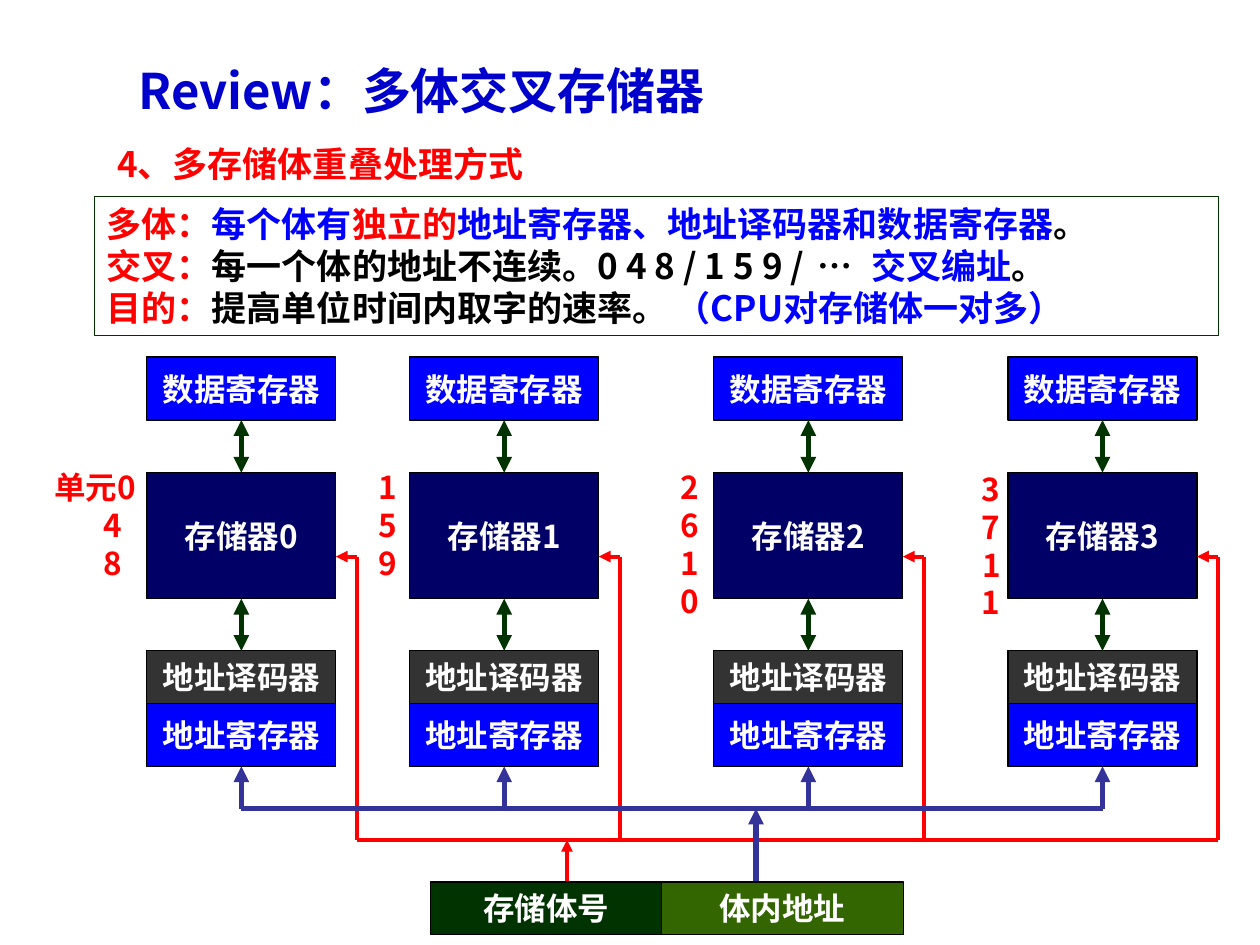
from lxml.etree import SubElement
from pptx import Presentation
from pptx.dml.color import RGBColor
from pptx.enum.shapes import MSO_CONNECTOR, MSO_SHAPE
from pptx.enum.text import MSO_ANCHOR, PP_ALIGN
from pptx.oxml.ns import qn
from pptx.util import Cm, Pt

FONT = "Noto Sans CJK SC"
RED = RGBColor(0xFF, 0x00, 0x00)
BLUE = RGBColor(0x00, 0x00, 0xFF)
TITLE_BLUE = RGBColor(0x00, 0x00, 0xCC)
NAVY = RGBColor(0x00, 0x00, 0x66)
BUS_BLUE = RGBColor(0x33, 0x33, 0x99)
GREY = RGBColor(0x33, 0x33, 0x33)
DARK_GREEN = RGBColor(0x00, 0x33, 0x00)
OLIVE = RGBColor(0x33, 0x66, 0x00)
BLACK = RGBColor(0x00, 0x00, 0x00)
WHITE = RGBColor(0xFF, 0xFF, 0xFF)

# Content: each line is a list of (text, colour[, letter spacing in points])
TITLE = "Review：多体交叉存储器"
HEADING = "4、多存储体重叠处理方式"
SUMMARY = [
    [("多体：", RED), ("每个体有", BLUE), ("独立的", RED),
     ("地址寄存器、地址译码器和数据寄存器", BLUE), ("。", BLACK)],
    [("交叉：", RED), ("每一个体的地址不连续。0 4 8 / 1 5 9 /", BLACK),
     (" … ", BLACK, 3), ("交叉编址", BLUE), ("。", BLACK)],
    [("目的：", RED), ("提高单位时间内取字的速率。 ", BLACK),
     ("（CPU对存储体一对多）", BLUE)],
]
# Bank left edge, then its unit numbers with the left, top and width of their box
BANKS = [
    (2.96, ["单元0", "4", "8"], 0.84, 9.32, 2.97),
    (8.26, ["1", "5", "9"], 7.39, 9.32, 0.86),
    (14.39, ["2", "6", "10"], 13.13, 9.32, 1.22),
    (20.32, ["3", "7", "11"], 19.2, 9.35, 1.22),
]
# Parts of one bank: label, top, height, fill
BANK_PARTS = [
    ("数据寄存器", 7.2, 1.27, BLUE),
    ("存储器{}", 9.53, 2.54, NAVY),
    ("地址译码器", 13.12, 1.06, GREY),
    ("地址寄存器", 14.18, 1.27, BLUE),
]
LINKS = [(8.47, 9.53), (12.07, 13.12)]
ADDRESS_FIELDS = [("存储体号", 8.68, 4.66, DARK_GREEN), ("体内地址", 13.34, 4.87, OLIVE)]

BANK_WIDTH = 3.81
BANK_BOTTOM = 15.45
SELECT_GAP = 0.42
SELECT_Y, SELECT_BUS_Y = 11.22, 16.93
ADDRESS_BUS_Y = 16.3
FIELD_TOP, FIELD_HEIGHT = 17.78, 1.06
SELECT_X, ADDRESS_X = 11.43, 15.24

deck = Presentation()
deck.slide_width, deck.slide_height = Cm(25.4), Cm(19.05)
page = deck.slides.add_slide(deck.slide_layouts[5])


def write(box, lines, size, align=PP_ALIGN.LEFT, anchor=MSO_ANCHOR.TOP, wrap=True):
    frame = box.text_frame
    frame.word_wrap = wrap
    frame.vertical_anchor = anchor
    for number, line in enumerate(lines):
        para = frame.add_paragraph() if number else frame.paragraphs[0]
        para.alignment = align
        para.line_spacing = Pt(round(size * 1.2, 1))
        para.space_before = Pt(0)
        for text, colour, *spacing in line:
            span = para.add_run()
            span.text = text
            span.font.size, span.font.bold, span.font.name = Pt(size), True, FONT
            span.font.color.rgb = colour
            props = span.font._element
            SubElement(props, qn("a:ea")).set("typeface", FONT)
            if spacing:
                props.set("spc", str(spacing[0] * 100))


def add_text(left, top, width, height, lines, size, align=PP_ALIGN.LEFT):
    box = page.shapes.add_textbox(Cm(left), Cm(top), Cm(width), Cm(height))
    write(box, lines, size, align)
    return box


def add_box(left, top, width, height, fill, line=BLACK):
    box = page.shapes.add_shape(MSO_SHAPE.RECTANGLE, Cm(left), Cm(top), Cm(width), Cm(height))
    box.shadow.inherit = False
    if fill is None:
        box.fill.background()
    else:
        box.fill.solid()
        box.fill.fore_color.rgb = fill
    box.line.color.rgb = line
    box.line.width = Pt(0.75)
    return box


def add_label_box(label, left, top, width, height, fill):
    box = add_box(left, top, width, height, fill)
    write(box, [[(label, WHITE)]], 18, PP_ALIGN.CENTER, MSO_ANCHOR.MIDDLE, False)


def add_line(x1, y1, x2, y2, colour, width, arrows=()):
    line = page.shapes.add_connector(MSO_CONNECTOR.STRAIGHT, Cm(x1), Cm(y1), Cm(x2), Cm(y2))
    line.line.color.rgb = colour
    line.line.width = Pt(width)
    for end in arrows:
        SubElement(line.line._get_or_add_ln(), qn(f"a:{end}")).set("type", "triangle")
    SubElement(line._element.spPr, qn("a:effectLst"))


# Title, heading and summary
title = page.shapes.title
title.left, title.top, title.width, title.height = Cm(2.54), Cm(1.09), Cm(18.42), Cm(1.45)
write(title, [[(TITLE, TITLE_BLUE)]], 28)
add_text(2.11, 2.74, 22.23, 1.2, [[(HEADING, RED)]], 20)
summary = add_box(1.9, 3.96, 22.66, 2.8, None, DARK_GREEN)
write(summary, SUMMARY, 20)

# Memory banks with their unit numbers and select lines
for index, (left, units, units_left, units_top, units_width) in enumerate(BANKS):
    middle, right = left + BANK_WIDTH / 2, left + BANK_WIDTH
    for label, top, height, fill in BANK_PARTS:
        add_label_box(label.format(index), left, top, BANK_WIDTH, height, fill)
    for start, end in LINKS:
        add_line(middle, start, middle, end, DARK_GREEN, 3, ["headEnd", "tailEnd"])
    unit_box = add_text(units_left, units_top, units_width, 2.54,
                        [[(unit, RED)] for unit in units], 18,
                        PP_ALIGN.RIGHT if index else PP_ALIGN.LEFT)
    if index == 0:
        for para in unit_box.text_frame.paragraphs[1:]:
            para._p.get_or_add_pPr().set("marL", str(Cm(1)))
    select = right + SELECT_GAP
    add_line(select, SELECT_Y, right, SELECT_Y, RED, 2.25, ["tailEnd"])
    add_line(select, SELECT_Y, select, SELECT_BUS_Y, RED, 2.25)

# Bank select bus
first, last = BANKS[0][0], BANKS[-1][0]
reach = BANK_WIDTH + SELECT_GAP
add_line(first + reach, SELECT_BUS_Y, last + reach, SELECT_BUS_Y, RED, 2.25)
add_line(SELECT_X, FIELD_TOP, SELECT_X, SELECT_BUS_Y, RED, 2.25, ["tailEnd"])

# Address bus
half = BANK_WIDTH / 2
add_line(first + half, ADDRESS_BUS_Y, last + half, ADDRESS_BUS_Y, BUS_BLUE, 3)
for left, *_ in BANKS:
    add_line(left + half, ADDRESS_BUS_Y, left + half, BANK_BOTTOM, BUS_BLUE, 3, ["tailEnd"])
add_line(ADDRESS_X, FIELD_TOP, ADDRESS_X, ADDRESS_BUS_Y, BUS_BLUE, 3, ["tailEnd"])

# Address fields
for label, left, width, fill in ADDRESS_FIELDS:
    add_label_box(label, left, FIELD_TOP, width, FIELD_HEIGHT, fill)

deck.save("out.pptx")
